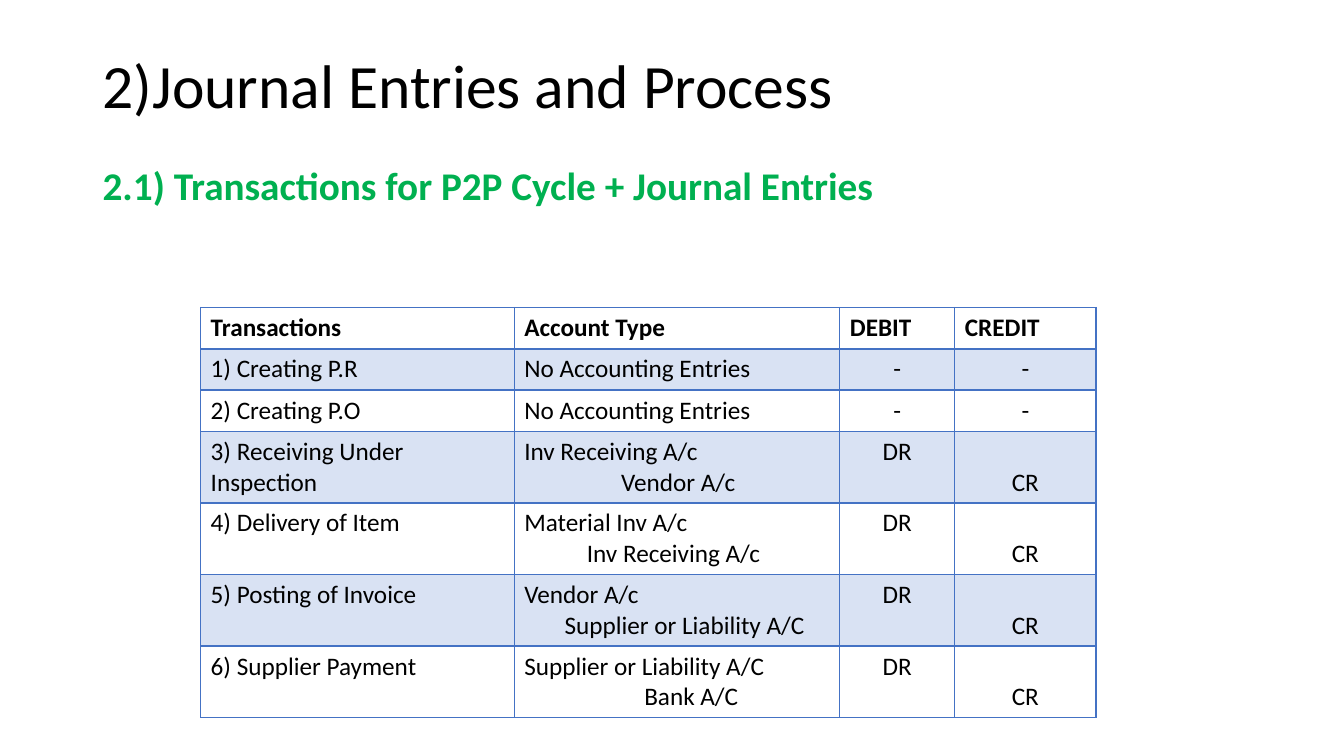
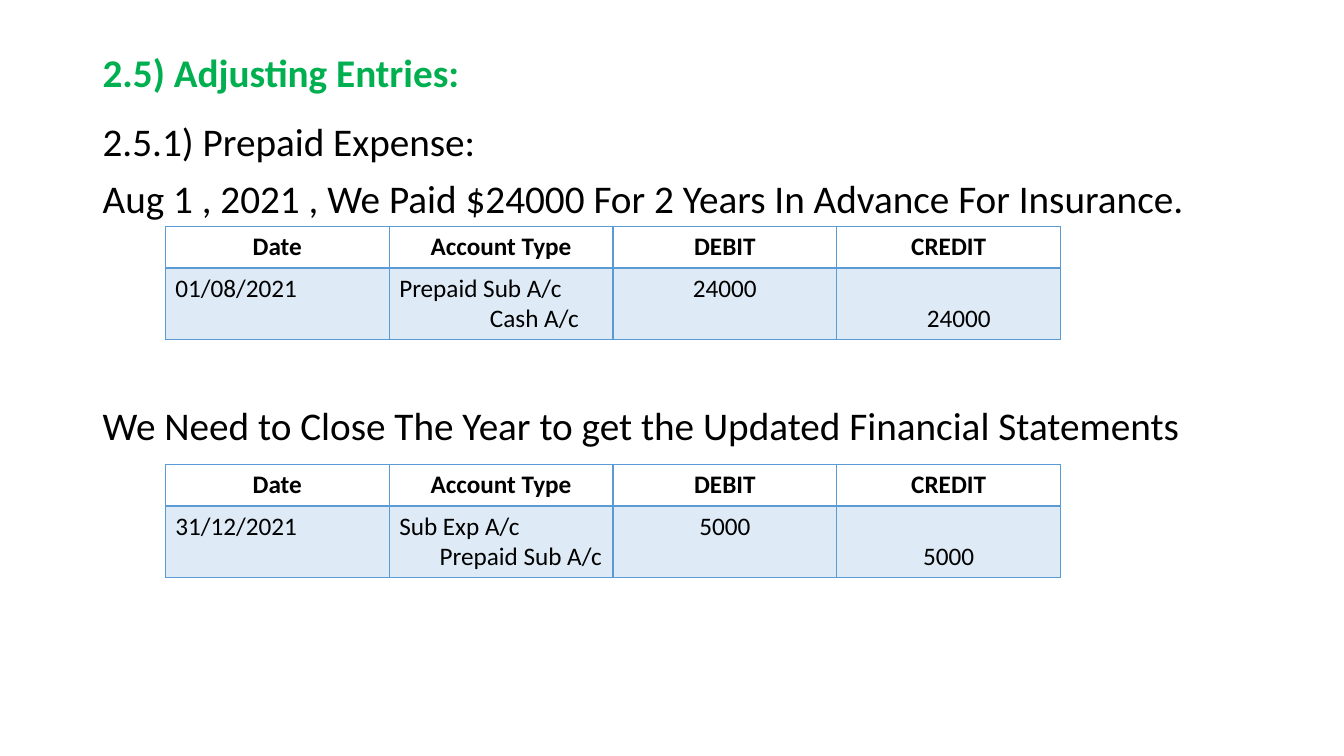
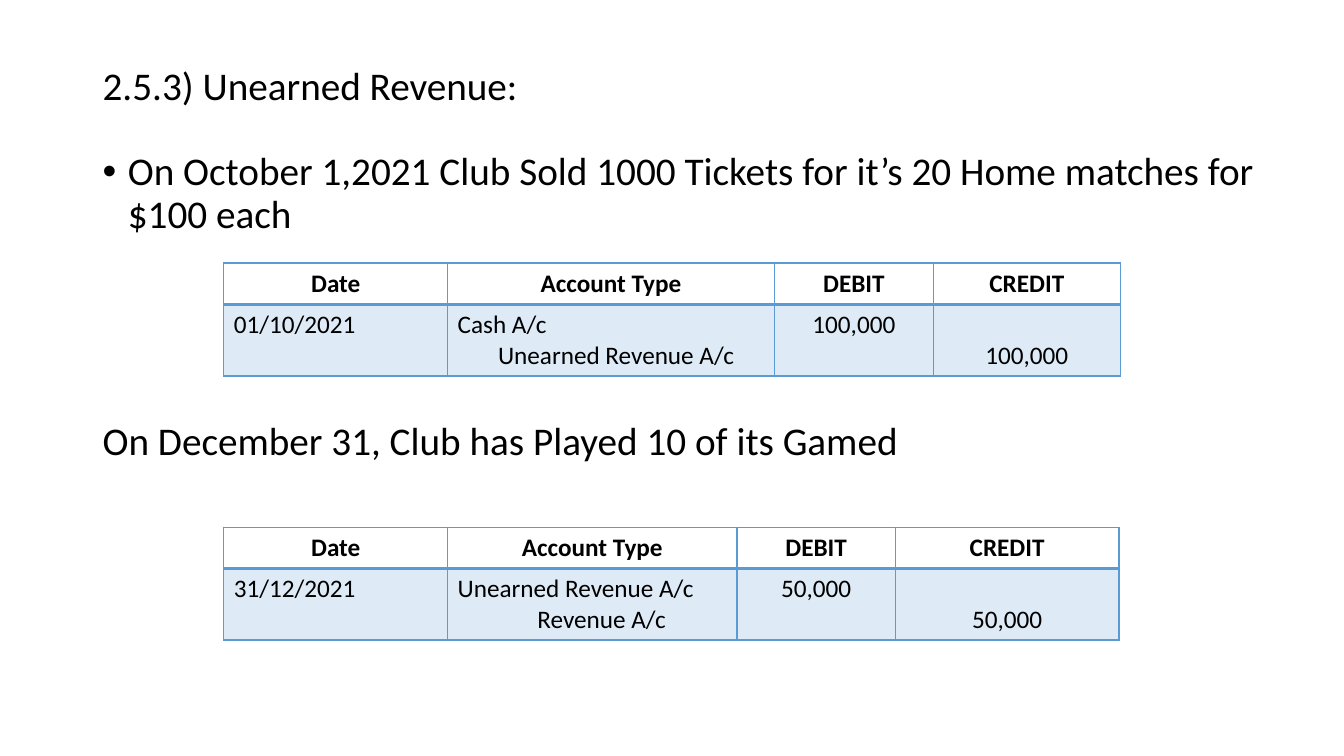
"""Build three slides of journal entries with headings and ledger tables."""
from lxml.etree import SubElement
from pptx import Presentation
from pptx.dml.color import RGBColor
from pptx.enum.text import MSO_ANCHOR, PP_ALIGN
from pptx.oxml.ns import qn
from pptx.util import Inches, Pt

FONT = "Calibri"
BLACK, GREEN = "000000", "00B050"
BLUE, SKY = "4472C4", "5B9BD5"
LINE, TWO_LINES = 0.41, 0.71
GAP = 132
LEDGER_HEAD = ["Date", "Account Type", "DEBIT", "CREDIT"]
EQUAL_COLS = [2.22] * 4


def rgb(value):
    return RGBColor.from_string(value)


def format_text(p, size, color=BLACK, bold=False, indent=0):
    for r in p.runs:
        r.font.name = FONT
        r.font.size = Pt(size)
        r.font.bold = bold
        r.font.color.rgb = rgb(color)
    if indent:
        p._p.get_or_add_pPr().set("marL", str(Inches(indent)))


slides = [
    {
        "texts": [
            ((0.92, 0.15, 11.5, 1.45), MSO_ANCHOR.MIDDLE,
             [("2)Journal Entries and Process", 44, BLACK, False, 0, False)]),
            ((0.92, 1.6, 11.5, 4.76), MSO_ANCHOR.TOP,
             [("2.1) Transactions for P2P Cycle + Journal Entries", 28, GREEN, True, 10, False)]),
        ],
        "tables": [
            (1.99, 3.05, [3.11, 3.23, 1.14, 1.4], BLUE, PP_ALIGN.LEFT,
             ["Transactions", "Account Type", "DEBIT", "CREDIT"],
             [("1) Creating P.R", "No Accounting Entries", "", 0, "-", "-", 0),
              ("2) Creating P.O", "No Accounting Entries", "", 0, "-", "-", 0),
              ("3) Receiving Under Inspection", "Inv Receiving A/c", "Vendor A/c", 0.96, "DR", "CR", 0),
              ("4) Delivery of Item", "Material Inv A/c", "Inv Receiving A/c", 0.62, "DR", "CR", 0),
              ("5) Posting of Invoice", "Vendor A/c", "Supplier or Liability A/C", 0.4, "DR", "CR", 0),
              ("6) Supplier Payment", "Supplier or Liability A/C", "Bank A/C", 1.19, "DR", "CR", 0)]),
        ],
    },
    {
        "texts": [
            ((0.92, 0.02, 11.5, 1.45), MSO_ANCHOR.MIDDLE,
             [("2.5) Adjusting Entries:", 28, GREEN, True, 0, False)]),
            ((0.92, 1.17, 12.2, 6.3), MSO_ANCHOR.TOP,
             [("2.5.1) Prepaid Expense:", 28, BLACK, False, 10, False),
              ("Aug 1 , 2021 , We Paid $24000 For 2 Years In Advance For Insurance.",
               28, BLACK, False, 10, False),
              ("We Need to Close The Year to get the Updated Financial Statements",
               28, BLACK, False, GAP, False)]),
        ],
        "tables": [
            (1.64, 2.25, EQUAL_COLS, SKY, PP_ALIGN.CENTER, LEDGER_HEAD,
             [("01/08/2021", "Prepaid Sub A/c", "Cash A/c", 0.9, "24000", "24000", 0.2)]),
            (1.64, 4.61, EQUAL_COLS, SKY, PP_ALIGN.CENTER, LEDGER_HEAD,
             [("31/12/2021", "Sub Exp A/c", "Prepaid Sub A/c", 0.4, "5000", "5000", 0)]),
        ],
    },
    {
        "texts": [
            ((0.92, 0.15, 11.5, 1.45), MSO_ANCHOR.MIDDLE,
             [("2.5.3) Unearned Revenue:", 28, BLACK, False, 0, False)]),
            ((0.92, 1.46, 12.26, 6), MSO_ANCHOR.TOP,
             [("On October 1,2021 Club Sold 1000 Tickets for it’s 20 Home matches for $100 each",
               28, BLACK, False, 10, True),
              ("On December 31, Club has Played 10 of its Gamed", 28, BLACK, False, GAP, False)]),
        ],
        "tables": [
            (2.22, 2.61, [2.22, 3.24, 1.58, 1.85], SKY, PP_ALIGN.CENTER, LEDGER_HEAD,
             [("01/10/2021", "Cash A/c", "Unearned Revenue A/c", 0.4, "100,000", "100,000", 0)]),
            (2.22, 5.23, [2.22, 2.87, 1.57, 2.22], SKY, PP_ALIGN.CENTER, LEDGER_HEAD,
             [("31/12/2021", "Unearned Revenue A/c", "Revenue A/c", 0.79, "50,000", "50,000", 0)]),
        ],
    },
]

prs = Presentation()
prs.slide_width, prs.slide_height = Inches(13.33), Inches(7.5)

for content in slides:
    slide = prs.slides.add_slide(prs.slide_layouts[6])

    for box, anchor, paragraphs in content["texts"]:
        tf = slide.shapes.add_textbox(*map(Inches, box)).text_frame
        tf.word_wrap = True
        tf.vertical_anchor = anchor
        tf.text = "\n".join(item[0] for item in paragraphs)
        for p, (_, size, color, bold, before, bullet) in zip(tf.paragraphs, paragraphs):
            format_text(p, size, color, bold, 0.25 if bullet else 0)
            p.line_spacing = 0.9
            p.space_before = Pt(before)
            if bullet:
                pPr = p._p.get_or_add_pPr()
                pPr.set("indent", str(Inches(-0.25)))
                SubElement(pPr, qn("a:buFont"), typeface="Arial")
                SubElement(pPr, qn("a:buChar"), char="•")

    for left, top, widths, accent, head_align, head, entries in content["tables"]:
        heights = [LINE] + [TWO_LINES if entry[2] else LINE for entry in entries]
        table = slide.shapes.add_table(
            len(heights), len(widths), Inches(left), Inches(top),
            Inches(sum(widths)), Inches(sum(heights))).table
        table.horz_banding = False
        for column, width in zip(table.columns, widths):
            column.width = Inches(width)
        for row, height in zip(table.rows, heights):
            row.height = Inches(height)

        for i, row in enumerate(table.rows):
            thick = {0: "lnB", 1: "lnT"}.get(i)
            for cell in row.cells:
                tcPr = cell._tc.get_or_add_tcPr()
                for side in ("lnL", "lnR", "lnT", "lnB"):
                    ln = SubElement(tcPr, qn("a:" + side), w=str(Pt(2 if side == thick else 1)))
                    SubElement(SubElement(ln, qn("a:solidFill")), qn("a:srgbClr"), val=accent)
                if i % 2:
                    cell.fill.solid()
                    cell.fill.fore_color.rgb = rgb(accent)
                    SubElement(tcPr[-1][0], qn("a:alpha"), val="20000")
                else:
                    cell.fill.background()

        for cell, label in zip(table.rows[0].cells, head):
            cell.text_frame.text = label
            p = cell.text_frame.paragraphs[0]
            p.alignment = head_align
            format_text(p, 18, bold=True)

        for i, entry in enumerate(entries, 1):
            first, account, contra, indent, debit, credit, credit_indent = entry
            accounts = account + "\n" + contra if contra else account
            cells = list(table.rows[i].cells)
            for cell, text in zip(cells, (first, accounts, debit, credit)):
                cell.text_frame.text = text
                for p in cell.text_frame.paragraphs:
                    format_text(p, 18)
            if contra:
                format_text(cells[1].text_frame.paragraphs[1], 18, indent=indent)
                cells[3].vertical_anchor = MSO_ANCHOR.BOTTOM
            for cell in cells[2:]:
                cell.text_frame.paragraphs[0].alignment = PP_ALIGN.CENTER
            format_text(cells[3].text_frame.paragraphs[0], 18, indent=credit_indent)

prs.save("out.pptx")
